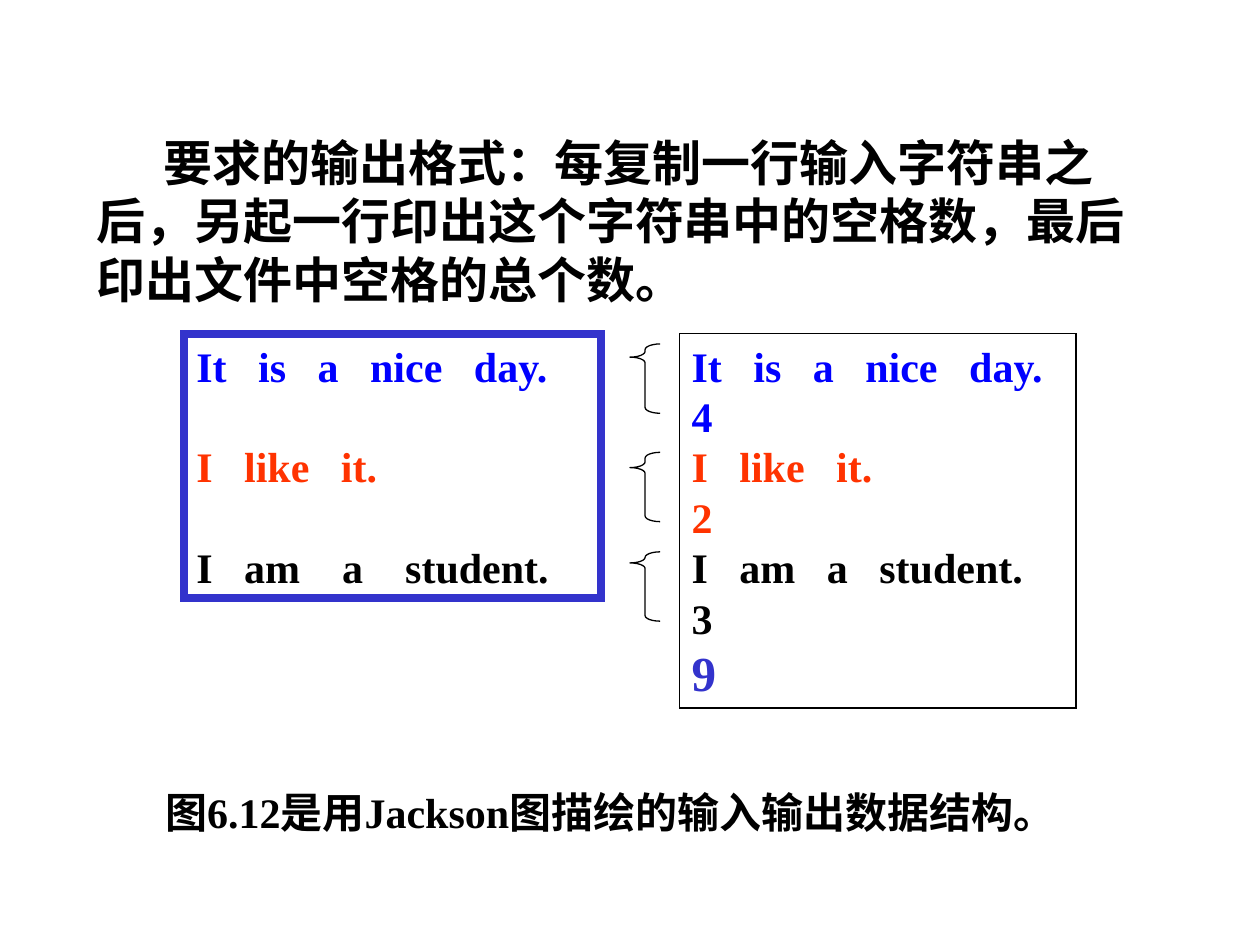
from dataclasses import dataclass

from lxml import etree
from pptx import Presentation
from pptx.dml.color import RGBColor
from pptx.enum.shapes import MSO_SHAPE
from pptx.enum.text import MSO_ANCHOR, PP_ALIGN
from pptx.oxml.ns import qn
from pptx.util import Inches, Pt

RECTANGLE, BRACE = MSO_SHAPE.RECTANGLE, MSO_SHAPE.LEFT_BRACE
LEFT, TOP = PP_ALIGN.LEFT, MSO_ANCHOR.TOP
FONT = "Times New Roman"
BLACK, BLUE, RED, INDIGO, WHITE = "000000", "0000FF", "FF3300", "3333CC", "FFFFFF"
LINE_FACTOR = 1.2  # line height over text size
SPACE_WIDTH = 0.25  # width of a space over text size


@dataclass
class Line:
    text: str
    color: str
    size: int = 24
    gaps: tuple = ()  # width of each word gap, in spaces (3 if not given)
    before: float = 0


@dataclass
class Panel:
    left: float
    width: float
    height: float
    border: str
    border_width: float
    fill: str | None
    lines: list[Line]


@dataclass
class Brace:
    top: float
    notch: float  # position of the point, as a share of the height


def rgb(value: str) -> RGBColor:
    return RGBColor.from_string(value)


def style_paragraph(paragraph, size: int) -> None:
    paragraph.alignment = LEFT
    paragraph.line_spacing = Pt(size * LINE_FACTOR)


def style_run(run, size: int, color: str) -> None:
    run.font.name, run.font.size, run.font.bold = FONT, Pt(size), True
    run.font.color.rgb = rgb(color)


def write_sentence(frame, text: str, size: int, margin: float, indent: float) -> None:
    frame.word_wrap, frame.vertical_anchor = True, TOP
    frame.text = text
    paragraph = frame.paragraphs[0]
    properties = paragraph._p.get_or_add_pPr()
    properties.set("marL", str(Inches(margin)))
    properties.set("indent", str(Inches(indent)))
    properties.set("hangingPunct", "0")  # keep punctuation inside the box
    style_paragraph(paragraph, size)
    style_run(paragraph.runs[0], size, BLACK)


def write_line(paragraph, line: Line) -> None:
    """Write the words of a line, with single spaces widened to their gaps."""
    style_paragraph(paragraph, line.size)
    if line.before:
        paragraph.space_before = Pt(line.before)
    words = line.text.split()
    gaps = line.gaps or (3,) * (len(words) - 1)
    for index, word in enumerate(words):
        if index:
            space = paragraph.add_run()
            space.text = " "
            style_run(space, line.size, line.color)
            extra = (gaps[index - 1] - 1) * line.size * SPACE_WIDTH
            space.font._element.set("spc", str(round(extra * 100)))
        run = paragraph.add_run()
        run.text = word
        style_run(run, line.size, line.color)


def draw_panel(shapes, panel: Panel) -> None:
    box = shapes.add_shape(RECTANGLE, Inches(panel.left), Inches(2.65),
                           Inches(panel.width), Inches(panel.height))
    box.shadow.inherit = False
    if panel.fill:
        box.fill.solid()
        box.fill.fore_color.rgb = rgb(panel.fill)
    else:
        box.fill.background()
    box.line.color.rgb = rgb(panel.border)
    box.line.width = Pt(panel.border_width)
    # Square corners
    etree.SubElement(box.line._get_or_add_ln(), qn("a:miter"), lim="800000")
    frame = box.text_frame
    frame.word_wrap, frame.vertical_anchor = True, TOP
    for index, line in enumerate(panel.lines):
        write_line(frame.add_paragraph() if index else frame.paragraphs[0], line)


def draw_brace(shapes, brace: Brace) -> None:
    shape = shapes.add_shape(BRACE, Inches(5), Inches(brace.top),
                             Inches(0.24), Inches(0.55))
    shape.shadow.inherit = False
    shape.fill.background()
    shape.line.color.rgb = rgb(BLACK)
    shape.line.width = Pt(0.75)
    shape.adjustments[0] = 0.19
    shape.adjustments[1] = brace.notch


ROW = 24 * LINE_FACTOR
INPUT = Panel(1.46, 3.31, 2.1, INDIGO, 4.5, WHITE, [
    Line("It is a nice day.", BLUE),
    Line("I like it.", RED, before=ROW),
    Line("I am a student.", BLACK, gaps=(3, 4, 4), before=ROW),
])
OUTPUT = Panel(5.39, 3.15, 2.97, BLACK, 0.75, None, [
    Line("It is a nice day.", BLUE),
    Line("4", BLUE),
    Line("I like it.", RED),
    Line("2", RED),
    Line("I am a student.", BLACK),
    Line("3", BLACK),
    Line("9", INDIGO, size=28),
])
BRACES = [Brace(2.73, 0.19), Brace(3.59, 0.22), Brace(4.38, 0.16)]


def main() -> None:
    deck = Presentation()
    deck.slide_width, deck.slide_height = Inches(10), Inches(7.5)
    slide = deck.slides.add_slide(deck.slide_layouts[0])
    shapes = slide.shapes
    unused_title = shapes.title.element
    unused_title.getparent().remove(unused_title)

    # Caption
    caption = slide.placeholders[1]
    caption.left, caption.top = Inches(0.9), Inches(6.19)
    caption.width, caption.height = Inches(8.6), Inches(0.63)
    write_sentence(caption.text_frame, "图6.12是用Jackson图描绘的输入输出数据结构。",
                   24, 0.32, -0.01)

    # Input and output files
    for panel in (INPUT, OUTPUT):
        draw_panel(shapes, panel)

    # Required output format
    requirement = shapes.add_textbox(Inches(0.67), Inches(1), Inches(8.5), Inches(1.5))
    write_sentence(requirement.text_frame,
                   "要求的输出格式：每复制一行输入字符串之后，另起一行印出这个字符串中的空格数，"
                   "最后印出文件中空格的总个数。", 28, 0, 0.53)

    # Braces joining each sentence to its count
    for brace in BRACES:
        draw_brace(shapes, brace)

    deck.save("out.pptx")


if __name__ == "__main__":
    main()
